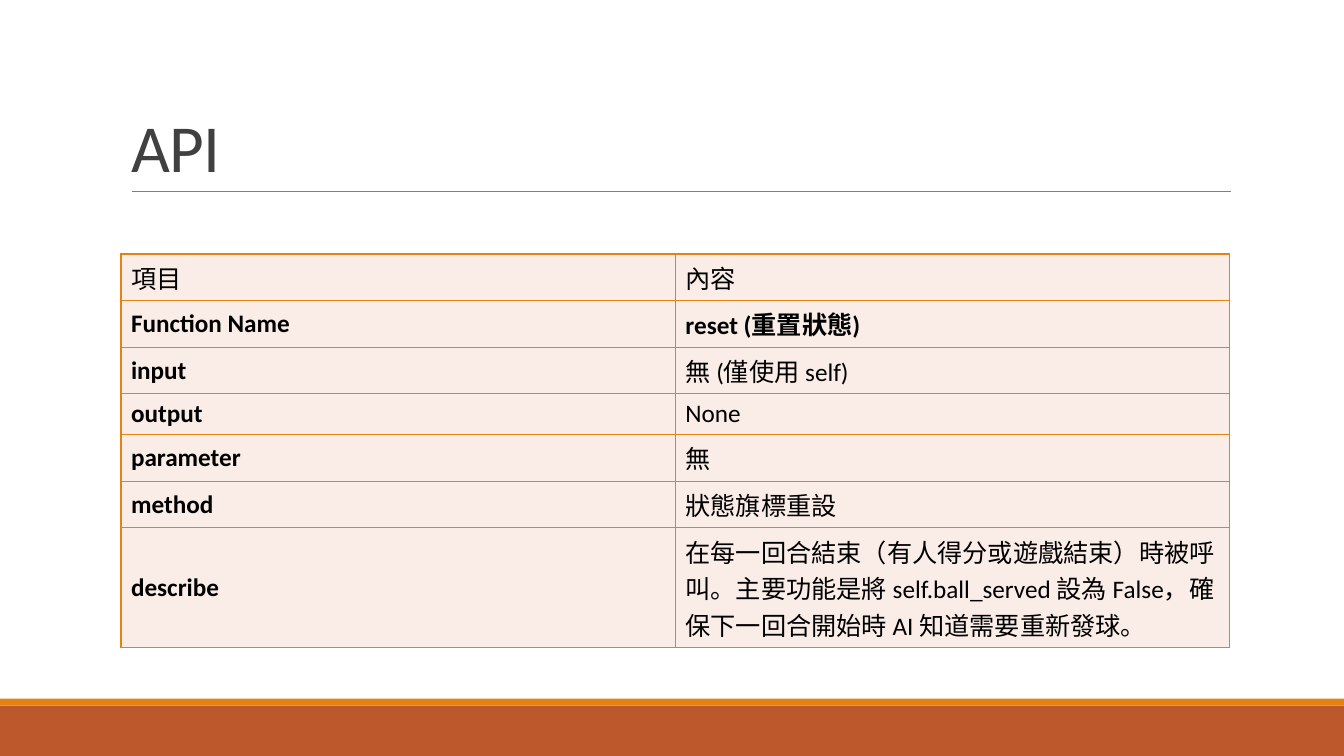
from lxml.etree import SubElement
from pptx import Presentation
from pptx.dml.color import RGBColor
from pptx.enum.shapes import MSO_CONNECTOR, MSO_SHAPE
from pptx.enum.text import MSO_ANCHOR, PP_ALIGN
from pptx.oxml.ns import qn
from pptx.util import Pt

ORANGE = RGBColor(0xE4, 0x83, 0x12)
RUST = RGBColor(0xBD, 0x58, 0x2C)
GRAY = RGBColor(0x80, 0x80, 0x80)
DARK = RGBColor(0x40, 0x40, 0x40)
BLACK = RGBColor(0, 0, 0)
CREAM = RGBColor(0xFA, 0xED, 0xE7)
FONT = "Calibri"
WIDTH, HEIGHT = 960, 540
LEFT, SPAN = 86.4, 792
ROWS = [
    ("項目", "內容", 33.2),
    ("Function Name", "reset (重置狀態)", 33.2),
    ("input", "無 (僅使用 self)", 33.2),
    ("output", "None", 29.2),
    ("parameter", "無", 33.2),
    ("method", "狀態旗標重設", 33.2),
    ("describe", "在每一回合結束（有人得分或遊戲結束）時被呼叫。主要功能是將 "
     "self.ball_served 設為 False，確保下一回合開始時 AI 知道需要重新發球。", 85.8),
]


def style(par, size, color, bold=False):
    """Format the runs of a paragraph."""
    for run in par.runs:
        run.font.name = FONT
        run.font.size = Pt(size)
        run.font.bold = bold
        run.font.color.rgb = color


def add_band(slide, top, height, color):
    """Draw a plain band across the slide."""
    band = slide.shapes.add_shape(MSO_SHAPE.RECTANGLE, 0, Pt(top), Pt(WIDTH), Pt(height))
    band.shadow.inherit = False
    band.fill.solid()
    band.fill.fore_color.rgb = color
    band.line.fill.background()


def add_rule(slide, left, right, top):
    """Draw the thin line below the title."""
    rule = slide.shapes.add_connector(
        MSO_CONNECTOR.STRAIGHT, Pt(left), Pt(top), Pt(right), Pt(top))
    rule.line.color.rgb = GRAY
    rule.line.width = Pt(0.5)
    SubElement(rule._element.spPr, qn("a:effectLst"))


def set_title(slide, text):
    """Place and format the title."""
    title = slide.shapes.title
    title.left, title.top = Pt(LEFT), Pt(22.6)
    title.width, title.height = Pt(SPAN), Pt(114.2)
    frame = title.text_frame
    frame.text = text
    frame.vertical_anchor = MSO_ANCHOR.BOTTOM
    par = frame.paragraphs[0]
    par.alignment = PP_ALIGN.LEFT
    par.line_spacing = 0.85
    style(par, 48, DARK)
    par.runs[0]._r.get_or_add_rPr().set("spc", "-50")


def set_edges(cell):
    """Give a cell orange borders on all sides."""
    props = cell._tc.get_or_add_tcPr()
    for spot, side in enumerate(("a:lnL", "a:lnR", "a:lnT", "a:lnB")):
        edge = SubElement(props, qn(side), w=str(Pt(1)))
        fill = SubElement(edge, qn("a:solidFill"))
        SubElement(fill, qn("a:srgbClr"), val=str(ORANGE))
        props.insert(spot, edge)


def fill_cell(cell, text, bold):
    """Write one table cell with its fill and borders."""
    cell.text_frame.text = text
    cell.vertical_anchor = MSO_ANCHOR.MIDDLE
    cell.fill.solid()
    cell.fill.fore_color.rgb = CREAM
    style(cell.text_frame.paragraphs[0], 18, BLACK, bold)
    set_edges(cell)


def add_grid(slide):
    """Add the table that describes the function."""
    total = sum(row[2] for row in ROWS)
    table = slide.shapes.add_table(
        len(ROWS), 2, Pt(LEFT), Pt(181.4), Pt(SPAN), Pt(total)).table
    table.first_row = False
    table.horz_banding = False
    for index, (label, value, height) in enumerate(ROWS):
        table.rows[index].height = Pt(height)
        fill_cell(table.cell(index, 0), label, index > 0)
        fill_cell(table.cell(index, 1), value, index == 1)


def main():
    """Build and save the slide."""
    deck = Presentation()
    deck.slide_width, deck.slide_height = Pt(WIDTH), Pt(HEIGHT)
    slide = deck.slides.add_slide(deck.slide_layouts[5])
    add_band(slide, 504, 36, RUST)
    add_band(slide, 499, 5, ORANGE)
    add_rule(slide, 94.3, 879, 136.8)
    add_grid(slide)
    set_title(slide, "API")
    deck.save("out.pptx")


if __name__ == "__main__":
    main()
